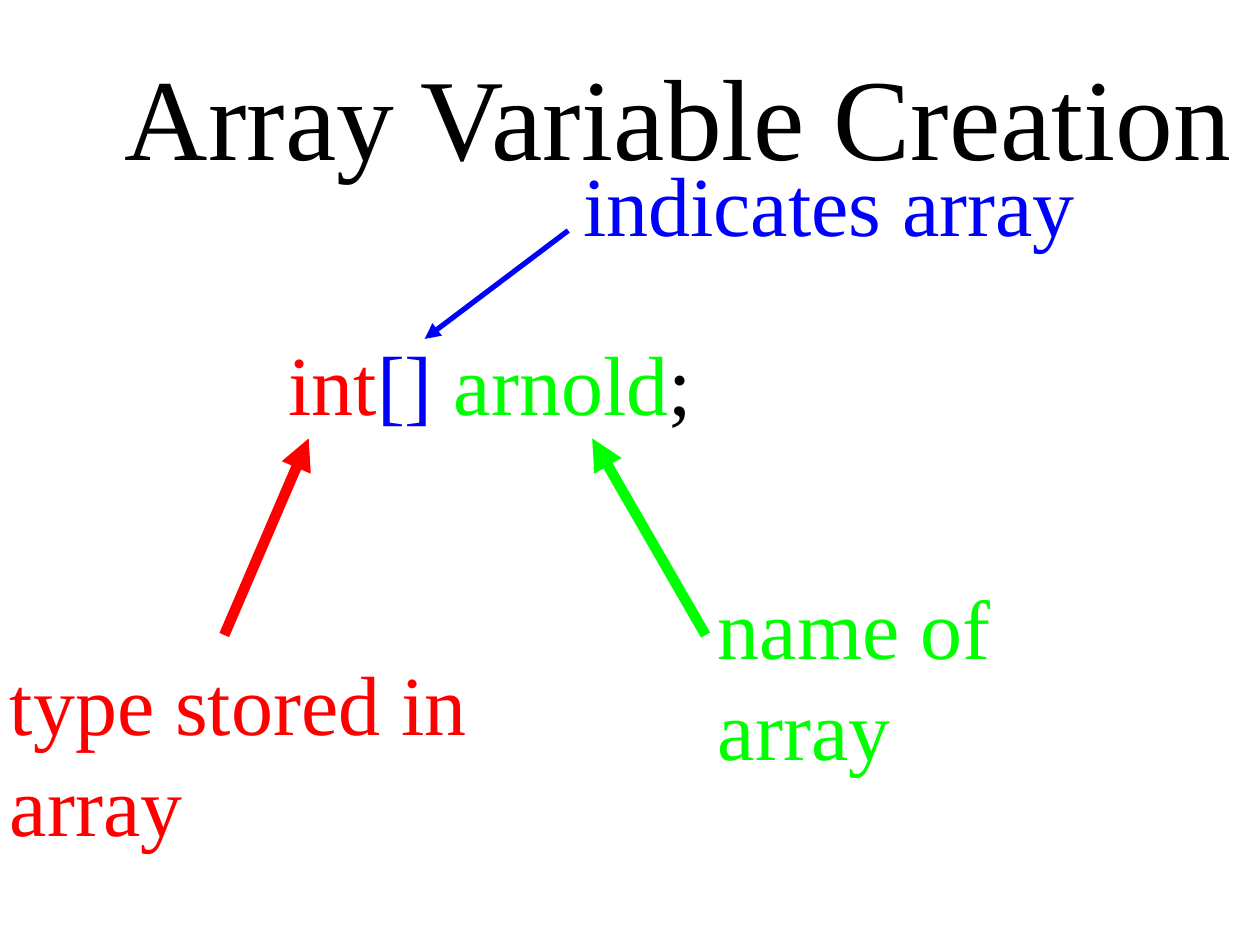
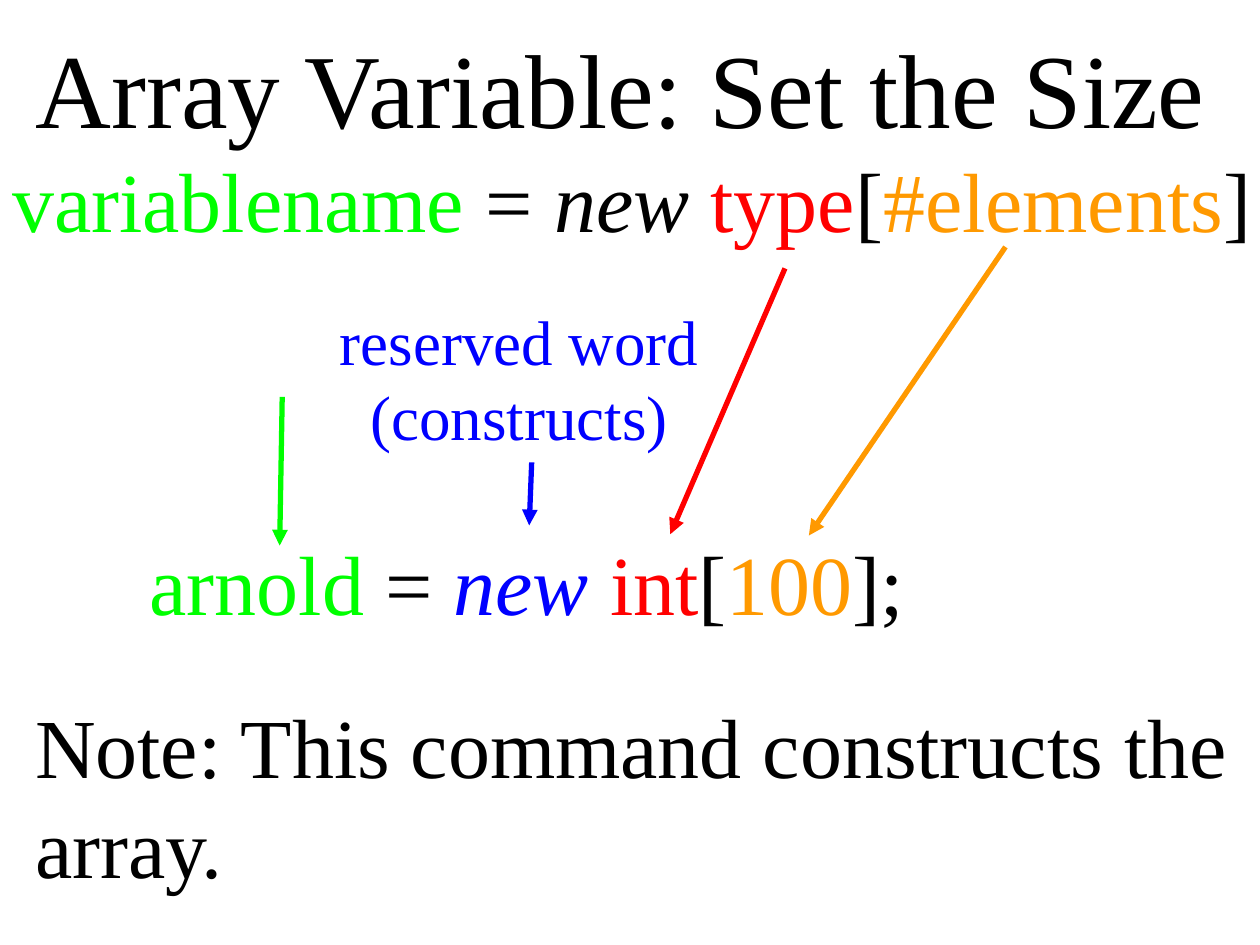
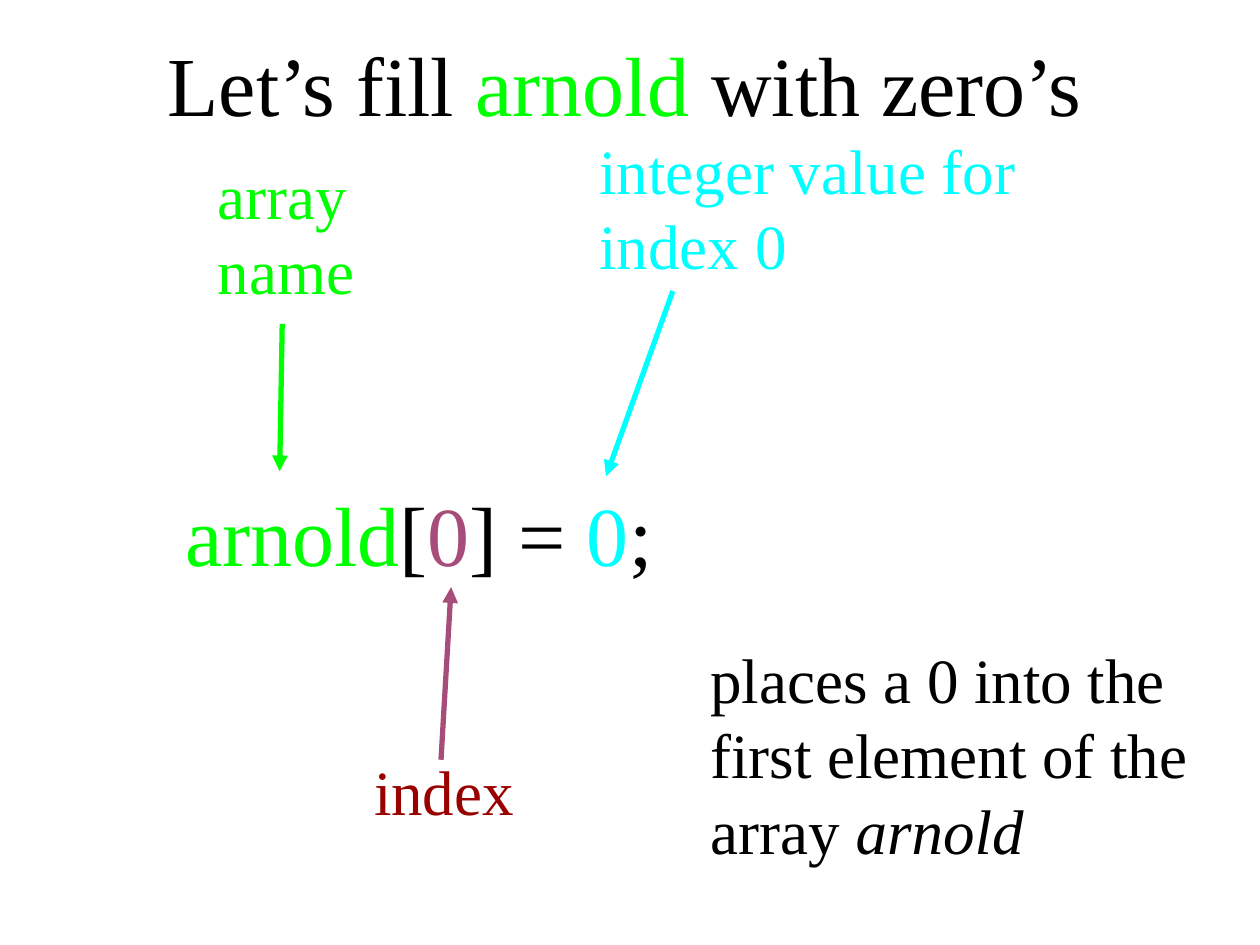
"""Build three slides that explain array variables."""
import pptx
import pptx.dml.color
import pptx.enum.shapes
import pptx.enum.text
import pptx.oxml
import pptx.util
from lxml import etree

Inches = pptx.util.Inches
Pt = pptx.util.Pt
RGBColor = pptx.dml.color.RGBColor
ALIGN = pptx.enum.text.PP_ALIGN

FONT = "Times New Roman"
BLACK = RGBColor(0x00, 0x00, 0x00)
RED = RGBColor(0xFF, 0x00, 0x00)
GREEN = RGBColor(0x00, 0xFF, 0x00)
BLUE = RGBColor(0x00, 0x00, 0xFF)
ORANGE = RGBColor(0xFF, 0x99, 0x00)
CYAN = RGBColor(0x00, 0xFF, 0xFF)
PLUM = RGBColor(0xA6, 0x4D, 0x79)
MAROON = RGBColor(0x99, 0x00, 0x00)

LARGE, SMALL = 48, 36

SLIDES = [
    {
        "title": dict(paras=["Array Variable Creation"], box=(0.89, 0.31, 9.11, 1.2), size=66),
        "texts": [
            dict(paras=[[("int", RED), ("[] ", BLUE), ("arnold", GREEN), ";"]],
                 box=(2.19, 2.58, 3.41, 0.9)),
            dict(paras=["name of", "array"], box=(5.6, 4.52, 3.96, 0.9), color=GREEN),
            dict(paras=["type stored in", "array"], box=(-0.02, 5.12, 5.02, 1.7), color=RED),
            dict(paras=["indicates array"], box=(4.53, 1.16, 5.02, 0.86), color=BLUE),
        ],
        "arrows": [
            ((5.6, 5.04), (4.7, 3.48), GREEN, 6),
            ((1.78, 5.04), (2.45, 3.48), RED, 6),
            ((4.51, 1.83), (3.37, 2.69), BLUE, 3),
        ],
    },
    {
        "title": dict(paras=["Array Variable: Set the Size"], box=(0.18, 0.14, 9.59, 1.1), size=60),
        "texts": [
            dict(paras=[[("variablename", GREEN), " = ", ("new ", BLACK, True), ("type", RED),
                         "[", ("#elements", ORANGE), "]"]],
                 box=(0, 1.13, 12.04, 0.9)),
            dict(paras=[[("arnold", GREEN), " = ", ("new ", BLUE, True), ("int", RED),
                         "[", ("100", ORANGE), "];"]],
                 box=(1.09, 4.17, 6.23, 0.9)),
            dict(paras=["Note: This command constructs the", "array."],
                 box=(0.18, 5.46, 10.4, 1.7)),
            dict(paras=["reserved word", "(constructs)"], box=(2, 2.3, 4.24, 0.94),
                 size=SMALL, color=BLUE, align=ALIGN.CENTER, inset=0.1),
        ],
        "arrows": [
            ((2.24, 3.15), (2.22, 4.33), GREEN, 3),
            ((4.22, 3.67), (4.2, 4.17), BLUE, 3),
            ((6.23, 2.13), (5.32, 4.24), RED, 3),
            ((7.98, 1.96), (6.42, 4.25), ORANGE, 3),
        ],
    },
    {
        "title": dict(paras=[["Let’s fill ", ("arnold", GREEN), " with zero’s"]],
                      box=(1.23, 0.16, 8.02, 0.94), inset=0.1),
        "texts": [
            dict(paras=[[("arnold", GREEN), "[", ("0", PLUM), "] = ", ("0", CYAN), ";"]],
                 box=(1.37, 3.78, 6.89, 1.14)),
            dict(paras=["array name"], box=(1.63, 1.14, 1.89, 0.94),
                 size=SMALL, color=GREEN, inset=0.1),
            dict(paras=["index"], box=(2.87, 5.87, 1.89, 0.94),
                 size=SMALL, color=MAROON, inset=0.1),
            dict(paras=["integer value for", "index 0"], box=(4.66, 0.94, 5.04, 0.94),
                 size=SMALL, color=CYAN, inset=0.1),
            dict(paras=[["places a 0 into the first element of the array ",
                         ("arnold", BLACK, True)]],
                 box=(5.54, 4.98, 4.46, 0.48), size=SMALL, inset=0.1),
        ],
        "arrows": [
            ((2.24, 2.57), (2.22, 3.74), GREEN, 3),
            ((3.5, 6.03), (3.58, 4.66), PLUM, 3),
            ((5.34, 2.31), (4.81, 3.78), CYAN, 3),
        ],
    },
]


def put_text(sp, paras, box, size=LARGE, color=BLACK, align=ALIGN.LEFT, inset=0.05):
    """Place a shape and fill it with formatted paragraphs."""
    sp.left, sp.top, sp.width, sp.height = map(Inches, box)
    tf = sp.text_frame
    tf.word_wrap = True
    tf.auto_size = pptx.enum.text.MSO_AUTO_SIZE.NONE
    tf.vertical_anchor = pptx.enum.text.MSO_ANCHOR.TOP
    tf.margin_left = tf.margin_right = Inches(0.1)
    tf.margin_top = tf.margin_bottom = Inches(inset)
    for i, runs in enumerate(paras):
        p = tf.add_paragraph() if i else tf.paragraphs[0]
        p.alignment = align
        for run in [runs] if isinstance(runs, str) else runs:
            words, tint, *italic = (run, color) if isinstance(run, str) else run
            r = p.add_run()
            r.text = words
            r.font.name = FONT
            r.font.size = Pt(size)
            r.font.italic = bool(italic)
            r.font.color.rgb = tint


def add_arrow(s, start, end, color, width):
    """Draw a straight arrow from start to end."""
    line = s.shapes.add_connector(pptx.enum.shapes.MSO_CONNECTOR.STRAIGHT,
                                  *map(Inches, start + end))
    line.line.color.rgb = color
    line.line.width = Pt(width)
    tail = etree.SubElement(line.line._get_or_add_ln(), pptx.oxml.ns.qn("a:tailEnd"))
    tail.set("type", "triangle")
    etree.SubElement(line._element.spPr, pptx.oxml.ns.qn("a:effectLst"))


def main():
    """Build and save the presentation."""
    prs = pptx.Presentation()
    prs.slide_width, prs.slide_height = Inches(10), Inches(7.5)
    title_only = prs.slide_layouts.get_by_name("Title Only")
    for content in SLIDES:
        s = prs.slides.add_slide(title_only)
        put_text(s.shapes.title, **content["title"])
        for item in content["texts"]:
            put_text(s.shapes.add_textbox(0, 0, 0, 0), **item)
        for arrow in content["arrows"]:
            add_arrow(s, *arrow)
    prs.save("out.pptx")


if __name__ == "__main__":
    main()
